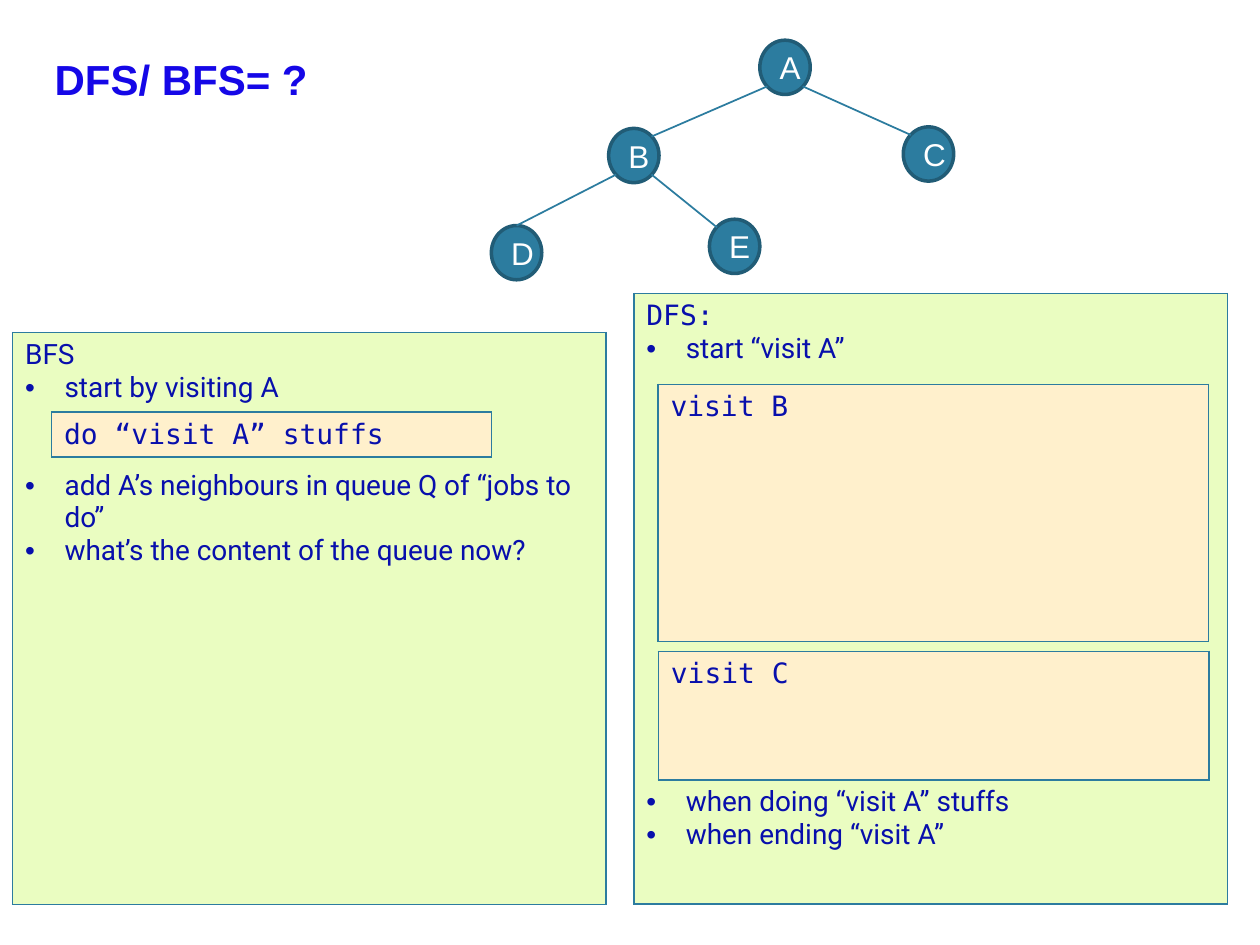
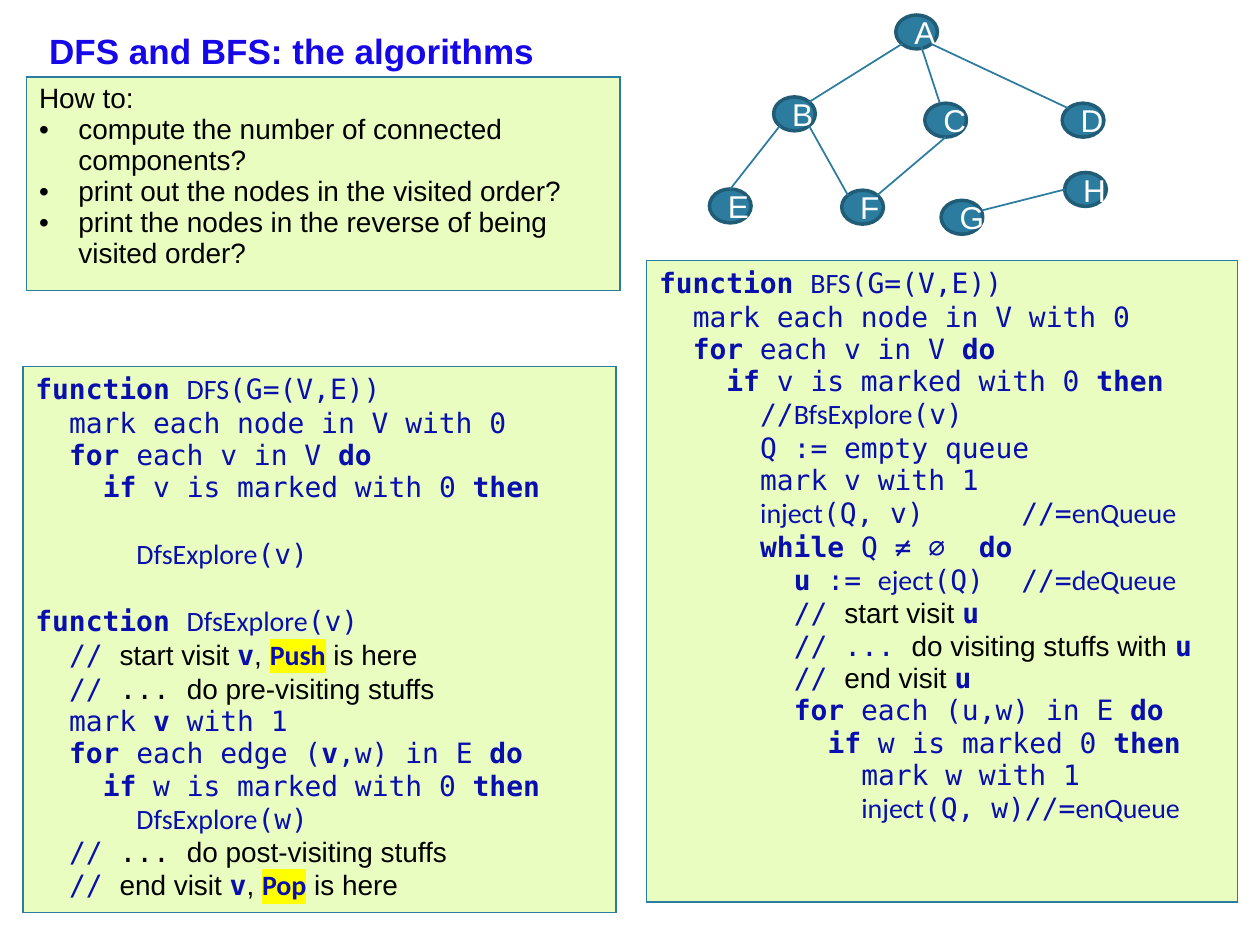
from pptx import Presentation
from pptx.dml.color import RGBColor
from pptx.enum import shapes, text
from pptx.oxml import parse_xml
from pptx.oxml.ns import nsdecls
from pptx.util import Pt
from lxml import etree

NAVY, BLACK, WHITE, TITLE_BLUE = "080FAC", "000000", "FFFFFF", "1507E7"
TEAL, DARK_TEAL, GREEN, CREAM, YELLOW = "2C7C9F", "215C76", "EAFDC1", "FFF0CC", "FFFF00"
MONO, SANS = "DejaVu Sans Mono", "Arial"

MARKS = {
    "": (MONO, NAVY, False, None),
    "*": (MONO, NAVY, True, None),
    "~": ("Calibri", NAVY, False, None),
    "@": ("Roboto", NAVY, False, None),
    "#": (SANS, BLACK, False, None),
    "`": (MONO, BLACK, False, None),
    "^": ("Calibri", NAVY, True, YELLOW),
}
BULLET = "•"
BULLET_INDENT = 22.5
CODE_STEP = 19.26
CODE_LEVELS = 6
COMMENT_STOP = 207
LINE_GAP = 19

SITES = {
    "top": (0.5, 0), "bottom": (0.5, 1), "left": (0, 0.5),
    "nw": (0.15, 0.15), "ne": (0.85, 0.15), "sw": (0.15, 0.85), "se": (0.85, 0.85),
    "low": (0.58, 0.81), "crown": (0.36, 0), "shoulder": (0.97, 0.3),
}

SLIDES = [
    {
        "title": ("DFS/ BFS= ? ", 24, text.PP_ALIGN.CENTER, (20.9, 8.6, 172, 72.7)),
        "node_size": (28.8, 31),
        "nodes": {"B": (347.8, 73.4), "D": (280.8, 128.9), "A": (434.2, 23),
                  "C": (516.2, 72.5), "E": (405.4, 125.3)},
        "edges": [("A", "se", "C", "nw"), ("A", "sw", "B", "ne"),
                  ("B", "sw", "D", "top"), ("B", "se", "E", "nw")],
        "boxes": [
            ((7.2, 190.1, 339.1, 326.9), GREEN, [
                (0, "@BFS"),
                (BULLET, "@start by visiting A"),
                (BULLET, "@add A’s neighbours in queue Q of “jobs to do”", 37.4),
                (BULLET, "@what’s the content of the queue now?"),
            ]),
            ((362.2, 167.8, 339.1, 348.8), GREEN, [
                (0, "DFS:"),
                (BULLET, "@start “visit A”"),
                (BULLET, "@when doing “visit A” stuffs", 240.5),
                (BULLET, "@when ending “visit A”"),
            ]),
            ((376, 219.6, 314.6, 146.9), CREAM, [(0, "visit B")]),
            ((29.5, 235.4, 251.3, 25.9), CREAM, [(0, "do “visit A” stuffs")]),
            ((376.2, 372.2, 314.6, 73.4), CREAM, [(0, "visit C")]),
        ],
    },
    {
        "title": ("DFS and BFS: the algorithms", 20, text.PP_ALIGN.LEFT, (20.9, 8.6, 679, 41)),
        "node_size": (23.8, 19.4),
        "nodes": {"B": (442.1, 55.4), "D": (607, 59), "A": (511.9, 8.6), "C": (528.5, 59),
                  "F": (481, 108.7), "E": (405.4, 108), "G": (537.8, 114.5), "H": (608.4, 98.6)},
        "edges": [("A", "low", "C", "crown"), ("D", "nw", "A", "se"), ("A", "sw", "B", "ne"),
                  ("B", "sw", "E", "top"), ("C", "bottom", "F", "ne"), ("B", "se", "F", "nw"),
                  ("H", "left", "G", "shoulder")],
        "boxes": [
            ((369.4, 149, 337.7, 366.5), GREEN, [
                (0, "*function *~BFS~(G=(V,E))"),
                (1, "mark each node in V with 0"),
                (1, "*for* each v in V *do*"),
                (2, "*if* v is marked with 0 *then*"),
                (3, "//~BfsExplore~(v)"),
                (3, "Q := empty queue"),
                (3, "mark v with 1"),
                (3, "~inject~(Q, v)|//=~enQueue~"),
                (3, "*while* Q ≠ ∅  *do*"),
                (4, "*u* := ~eject~(Q)|//=~deQueue~"),
                (4, "// #start visit #*u*"),
                (4, "// ... #do visiting stuffs with #*u*"),
                (4, "// #end visit #*u*"),
                (4, "*for* each (u,w) in E *do*"),
                (5, "*if* w is marked 0 *then*"),
                (6, "mark w with 1"),
                (6, "~inject~(Q, w)//=~enQueue~"),
            ]),
            ((13, 209.5, 339.1, 311.8), GREEN, [
                (0, "*function *~DFS~(G=(V,E))"),
                (1, "mark each node in V with 0"),
                (1, "*for* each v in V *do*"),
                (2, "*if* v is marked with 0 *then*"),
                (3, "~DfsExplore~(v)", LINE_GAP),
                (0, "*function *~DfsExplore~(v)", LINE_GAP),
                (1, "// #start visit #*v*#, #^Push^# is here#"),
                (1, "// `... `#do pre-visiting stuffs#"),
                (1, "mark *v* with 1"),
                (1, "*for* each edge (*v*,w) in E *do*"),
                (2, "*if* w is marked with 0 *then*"),
                (3, "~DfsExplore~(w)"),
                (1, "// `... `#do post-visiting stuffs#"),
                (1, "// #end visit #*v*#, #^Pop^# is here#"),
            ]),
            ((15.1, 43.9, 339.1, 122), GREEN, [
                (0, "#How to:"),
                (BULLET, "#compute the number of connected components?"),
                (BULLET, "#print out the nodes in the visited order?"),
                (BULLET, "#print the nodes in the reverse of being visited order?"),
            ]),
        ],
    },
]


def rgb(hex_string):
    return RGBColor.from_string(hex_string)


def points(values):
    return [Pt(value) for value in values]


def xml(body):
    head, tail = body.split(">", 1)
    slash = "/" if head.endswith("/") else ""
    return parse_xml(f"{head.rstrip('/')} {nsdecls('a')}{slash}>{tail}")


def format_run(run, size, face, colour, bold, highlight=None):
    run.font.color.rgb = rgb(colour)
    if highlight:
        run.font._element.append(xml(f'<a:highlight><a:srgbClr val="{highlight}"/></a:highlight>'))
    for key, value in {"size": Pt(size), "name": face, "bold": bold}.items():
        setattr(run.font, key, value)


def marked_pieces(line):
    mark, piece = "", ""
    for letter in line:
        if letter in MARKS:
            if piece:
                yield mark, piece
            mark, piece = ("" if letter == mark else letter), ""
        else:
            piece += letter
    if piece:
        yield mark, piece


def write_line(paragraph, level, line, gap=0):
    paragraph.space_before = Pt(gap)
    properties = paragraph._p.get_or_add_pPr()
    if level == BULLET:
        properties.set("marL", str(Pt(BULLET_INDENT)))
        properties.set("indent", str(-Pt(BULLET_INDENT)))
        properties.append(xml(f'<a:buFont typeface="{SANS}"/>'))
        properties.append(xml(f'<a:buChar char="{BULLET}"/>'))
    elif level or "|" in line:
        stops = [CODE_STEP * step for step in range(1, CODE_LEVELS + 1)] + [COMMENT_STOP]
        tabs = "".join(f'<a:tab pos="{Pt(stop)}" algn="l"/>' for stop in stops)
        properties.append(xml(f"<a:tabLst>{tabs}</a:tabLst>"))
        first = "" if line[0] not in MARKS else line[0]
        line = first + "|" * level + line[len(first):]
    for mark, piece in marked_pieces(line):
        run = paragraph.add_run()
        run.text = piece.replace("|", chr(9))
        format_run(run, 16, *MARKS[mark])


def add_box(slide, place, fill, lines):
    table = slide.shapes.add_table(1, 1, *points(place)).table
    table.first_row = table.horz_banding = False
    cell = table.cell(0, 0)
    cell.fill.solid()
    cell.fill.fore_color.rgb = rgb(fill)
    for order, side in enumerate("LRTB"):
        cell._tc.tcPr.insert(order, xml(
            f'<a:ln{side} w="{Pt(1)}"><a:solidFill><a:srgbClr val="{TEAL}"/></a:solidFill></a:ln{side}>'))
    frame = cell.text_frame
    for order, line in enumerate(lines):
        write_line(frame.add_paragraph() if order else frame.paragraphs[0], *line)


def add_node(slide, letter, place, size):
    node = slide.shapes.add_shape(shapes.MSO_SHAPE.OVAL, *points(place + size))
    node.shadow.inherit = False
    node.fill.solid()
    node.fill.fore_color.rgb = rgb(TEAL)
    node.line.color.rgb = rgb(DARK_TEAL)
    node.line.width = Pt(2)
    frame = node.text_frame
    frame.word_wrap = True
    frame.vertical_anchor = text.MSO_ANCHOR.MIDDLE
    label = frame.paragraphs[0]
    label.alignment = text.PP_ALIGN.CENTER
    run = label.add_run()
    run.text = letter
    format_run(run, 18, SANS, WHITE, False)


def add_edge(slide, start, end):
    edge = slide.shapes.add_connector(shapes.MSO_CONNECTOR.STRAIGHT, *points(start + end))
    edge.line.color.rgb = rgb(TEAL)
    edge.line.width = Pt(1)
    etree.SubElement(edge._element.spPr, "{http://schemas.openxmlformats.org/drawingml/2006/main}effectLst")


def add_title(slide, words, size, alignment, place):
    title = slide.shapes.title
    for key, value in zip(("left", "top", "width", "height"), points(place)):
        setattr(title, key, value)
    frame = title.text_frame
    for key, value in {"word_wrap": True, "auto_size": text.MSO_AUTO_SIZE.NONE,
                       "vertical_anchor": text.MSO_ANCHOR.MIDDLE}.items():
        setattr(frame, key, value)
    heading = frame.paragraphs[0]
    heading.alignment = alignment
    run = heading.add_run()
    run.text = words
    format_run(run, size, SANS, TITLE_BLUE, True)


def build_slide(deck, content):
    slide = deck.slides.add_slide(deck.slide_layouts[5])
    add_title(slide, *content["title"])
    nodes, size = content["nodes"], content["node_size"]
    for letter, place in nodes.items():
        add_node(slide, letter, place, size)

    def site(letter, name):
        return tuple(at + length * share
                     for at, length, share in zip(nodes[letter], size, SITES[name]))

    for parent, leaving, child, arriving in content["edges"]:
        add_edge(slide, site(parent, leaving), site(child, arriving))
    for box in content["boxes"]:
        add_box(slide, *box)


def main():
    deck = Presentation()
    deck.slide_width, deck.slide_height = points((720, 540))
    for content in SLIDES:
        build_slide(deck, content)
    deck.save("out.pptx")


if __name__ == "__main__":
    main()
